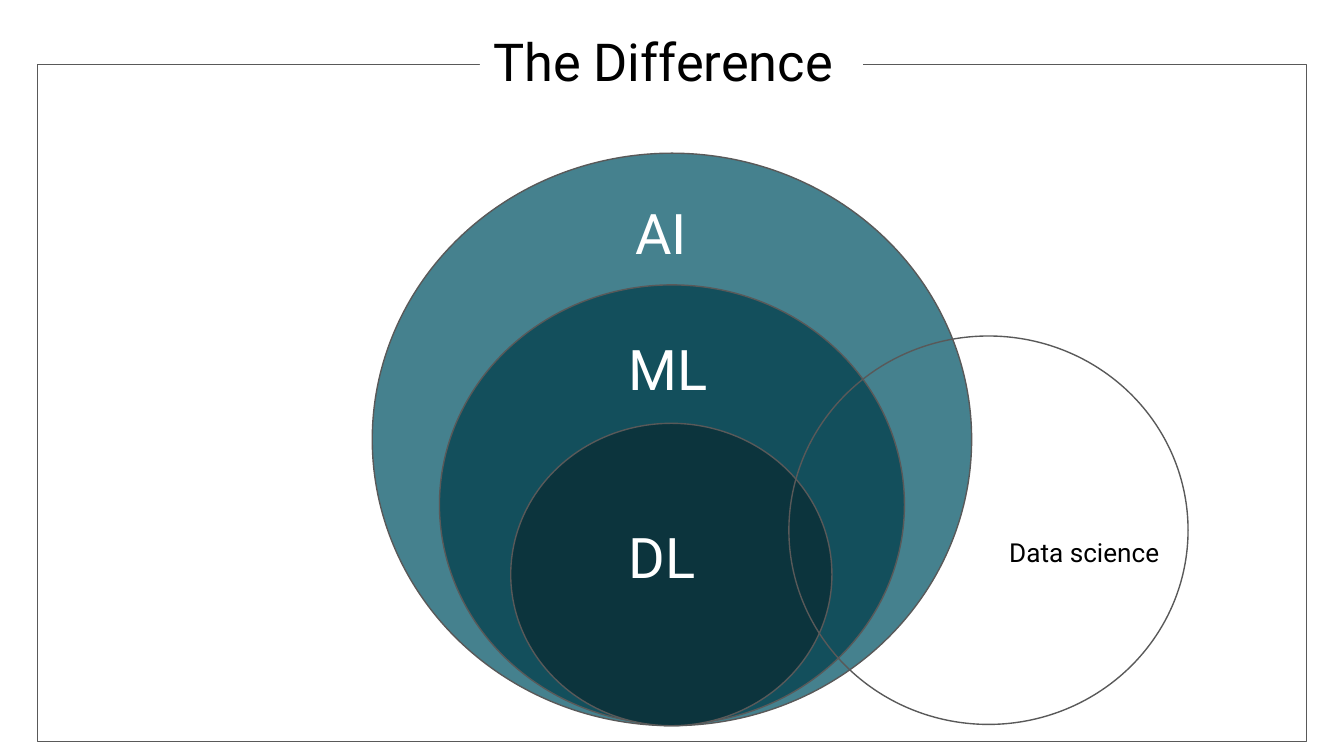
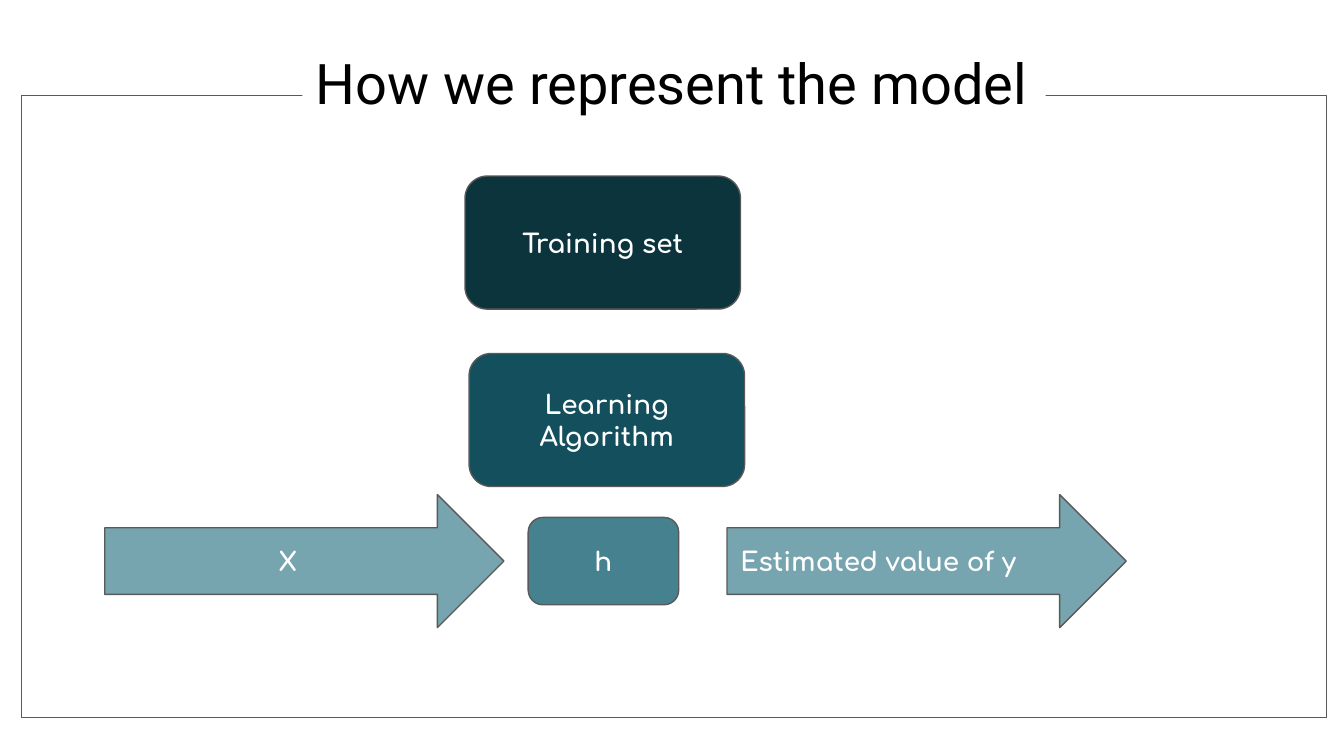
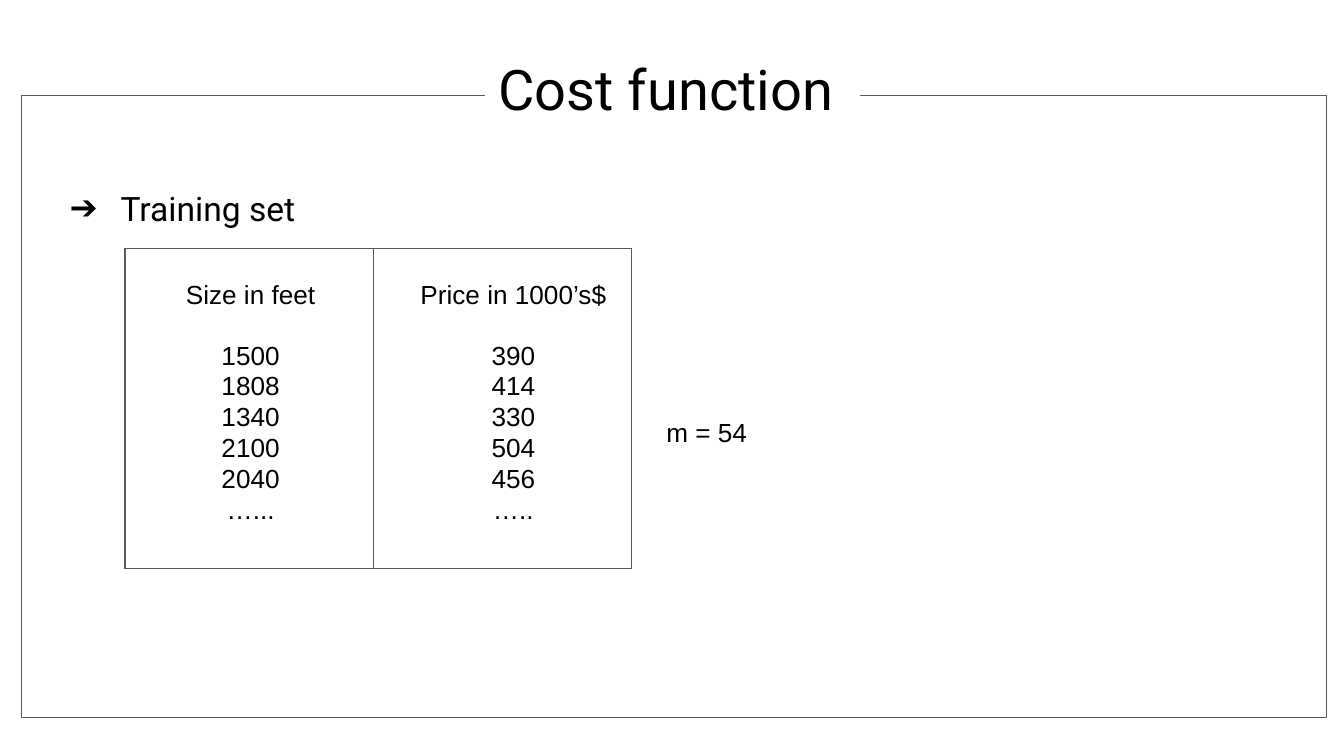
"""Builds three slides on machine learning: its fields, its model and its cost function."""
from dataclasses import dataclass
from typing import NamedTuple, Optional

from lxml import etree
from pptx import Presentation
from pptx import util as u
from pptx.dml.color import RGBColor
from pptx.enum import shapes, text
from pptx.oxml import ns

COLORS = {
    "white": "FFFFFF",
    "black": "000000",
    "outline": "595959",
    "deep": "0C343D",
    "dark": "134F5C",
    "teal": "45818E",
    "pale": "76A5AF",
}
SLIDE_WIDTH = u.Inches(10)
SLIDE_HEIGHT = SLIDE_WIDTH * 9 // 16
OUTLINE_WIDTH = u.Pt(0.75)
INSET = u.Inches(0.1)
TITLE_ONLY = 5

OVAL = shapes.MSO_SHAPE.OVAL
RECTANGLE = shapes.MSO_SHAPE.RECTANGLE
ROUNDED = shapes.MSO_SHAPE.ROUNDED_RECTANGLE
ARROW = shapes.MSO_SHAPE.RIGHT_ARROW
LEFT, CENTER = text.PP_ALIGN.LEFT, text.PP_ALIGN.CENTER
TOP, MIDDLE = text.MSO_ANCHOR.TOP, text.MSO_ANCHOR.MIDDLE


class Box(NamedTuple):
    left: float
    top: float
    width: float
    height: float

    def lengths(self) -> list:
        return [u.Inches(side) for side in self]


class Style(NamedTuple):
    font: str
    size: float
    color: str = "black"
    bold: bool = False
    align: text.PP_ALIGN = LEFT
    spacing: float = 1.0


@dataclass
class Block:
    box: Box
    geometry: shapes.MSO_SHAPE
    fill: Optional[str] = None
    wording: str = ""
    align: text.PP_ALIGN = CENTER


@dataclass
class Label:
    box: Box
    wording: str
    style: Style


FRAME = Box(0.16, 0.71, 9.71, 4.63)
TITLE = Style("Roboto", 30)
FIELD = Style("Roboto", 30, "white")
STEP = Style("Comfortaa", 14, "white", bold=True)
DATA = Style("Arial", 14)


def rgb(color: str) -> RGBColor:
    return RGBColor.from_string(COLORS[color])


def write(paragraph, wording: str, style: Style) -> None:
    paragraph.alignment = style.align
    paragraph.line_spacing = style.spacing
    run = paragraph.add_run()
    run.text = wording
    run.font.name = style.font
    run.font.size = u.Pt(style.size)
    run.font.bold = style.bold
    run.font.color.rgb = rgb(style.color)


def prepare(frame, anchor: text.MSO_ANCHOR) -> None:
    frame.word_wrap = True
    frame.auto_size = text.MSO_AUTO_SIZE.NONE
    frame.vertical_anchor = anchor
    frame.margin_left = frame.margin_right = INSET
    frame.margin_top = frame.margin_bottom = INSET


def draw_block(slide, block: Block):
    shape = slide.shapes.add_shape(block.geometry, *block.box.lengths())
    shape.shadow.inherit = False
    if block.fill:
        shape.fill.solid()
        shape.fill.fore_color.rgb = rgb(block.fill)
    else:
        shape.fill.background()
    shape.line.color.rgb = rgb("outline")
    shape.line.width = OUTLINE_WIDTH
    if block.wording:
        prepare(shape.text_frame, MIDDLE)
        write(shape.text_frame.paragraphs[0], block.wording,
              STEP._replace(align=block.align))
    return shape


def draw_label(slide, label: Label):
    shape = slide.shapes.add_textbox(*label.box.lengths())
    prepare(shape.text_frame, TOP)
    paragraph = shape.text_frame.paragraphs[0]
    write(paragraph, label.wording, label.style)
    return paragraph


def add_framed_slide(deck, wording: str, title_box: Box,
                     style: Style = TITLE, frame_box: Box = FRAME):
    slide = deck.slides.add_slide(deck.slide_layouts[TITLE_ONLY])
    title = slide.shapes.title
    title.left, title.top, title.width, title.height = title_box.lengths()
    title.fill.solid()
    title.fill.fore_color.rgb = rgb("white")
    prepare(title.text_frame, TOP)
    write(title.text_frame.paragraphs[0], wording, style)
    border = draw_block(slide, Block(frame_box, RECTANGLE))
    title.element.addprevious(border.element)
    return slide


def add_bullet(paragraph, symbol: str, style: Style) -> None:
    properties = paragraph._p.get_or_add_pPr()
    properties.set("marL", str(u.Inches(0.5)))
    properties.set("indent", str(u.Inches(-0.38)))
    tint = etree.SubElement(properties, ns.qn("a:buClr"))
    etree.SubElement(tint, ns.qn("a:srgbClr"), val=COLORS[style.color])
    etree.SubElement(properties, ns.qn("a:buFont"), typeface=style.font)
    etree.SubElement(properties, ns.qn("a:buChar"), char=symbol)


def set_borders(cell, drawn: str) -> None:
    properties = cell._tc.get_or_add_tcPr()
    for position, side in enumerate("LRTB"):
        border = etree.Element(ns.qn(f"a:ln{side}"), w=str(OUTLINE_WIDTH))
        if side in drawn:
            fill = etree.SubElement(border, ns.qn("a:solidFill"))
            etree.SubElement(fill, ns.qn("a:srgbClr"), val=COLORS["outline"])
        else:
            etree.SubElement(border, ns.qn("a:noFill"))
        properties.insert(position, border)


def draw_table(slide, box: Box, rows: list, widths: list, heights: list,
               indents: list) -> None:
    table = slide.shapes.add_table(len(rows), len(widths), *box.lengths()).table
    table.first_row = table.horz_banding = False
    for column, width in zip(table.columns, widths):
        column.width = u.Inches(width)
    for index, (values, height) in enumerate(zip(rows, heights)):
        table.rows[index].height = u.Inches(height)
        edges = "LR" + "T" * (index == 0) + "B" * (index == len(rows) - 1)
        for column, (value, indent) in enumerate(zip(values, indents)):
            cell = table.cell(index, column)
            cell.fill.solid()
            cell.fill.fore_color.rgb = rgb("white")
            cell.margin_left = u.Inches(indent)
            cell.margin_right = cell.margin_top = cell.margin_bottom = 0
            cell.vertical_anchor = MIDDLE if index == 0 else TOP
            write(cell.text_frame.paragraphs[0], value, DATA._replace(align=CENTER))
            set_borders(cell, edges)


def build_difference(deck) -> None:
    slide = add_framed_slide(deck, "The Difference", Box(3.57, 0.12, 2.85, 0.63),
                             TITLE._replace(size=28), Box(0.28, 0.48, 9.44, 5.04))
    for field in (
        Block(Box(2.77, 1.14, 4.46, 4.26), OVAL, "teal"),
        Block(Box(3.27, 2.12, 3.46, 3.27), OVAL, "dark"),
        Block(Box(3.8, 3.15, 2.39, 2.25), OVAL, "deep"),
        Block(Box(5.87, 2.5, 2.97, 2.89), OVAL),
    ):
        draw_block(slide, field)
    for name in (
        Label(Box(4.63, 1.38, 0.74, 0.63), "AI", FIELD),
        Label(Box(4.58, 2.39, 0.85, 0.63), "ML", FIELD),
        Label(Box(4.58, 3.79, 0.85, 0.63), "DL", FIELD),
        Label(Box(7.41, 3.89, 1.55, 0.42), "Data science", Style("Roboto", 14)),
    ):
        draw_label(slide, name)


def build_model(deck) -> None:
    slide = add_framed_slide(deck, "How we represent the model",
                             Box(2.25, 0.26, 5.53, 0.76))
    for step in (
        Block(Box(3.46, 1.31, 2.05, 0.99), ROUNDED, "deep", "Training set"),
        Block(Box(3.93, 3.85, 1.12, 0.65), ROUNDED, "teal", "h"),
        Block(Box(3.49, 2.63, 2.05, 0.99), ROUNDED, "dark", "Learning Algorithm"),
        Block(Box(5.41, 3.68, 2.97, 0.99), ARROW, "pale", "Estimated value of y", LEFT),
        Block(Box(0.78, 3.68, 2.97, 0.99), ARROW, "pale", "X"),
    ):
        draw_block(slide, step)


def build_cost(deck) -> None:
    slide = add_framed_slide(deck, "Cost function", Box(3.61, 0.23, 2.79, 0.76),
                             TITLE._replace(spacing=1.15))
    topic = Style("Roboto", 18, spacing=1.15)
    heading = draw_label(slide, Label(Box(0.3, 1.25, 8.44, 0.55), "Training set", topic))
    add_bullet(heading, "➔", topic)
    houses = [
        ("Size in feet", "Price in 1000’s$"),
        ("1500", "390"),
        ("1808", "414"),
        ("1340", "330"),
        ("2100", "504"),
        ("2040", "456"),
        ("…...", "….."),
    ]
    draw_table(slide, Box(0.93, 1.85, 3.77, 2.38), houses, widths=[1.85, 1.92],
               heights=[0.69] + [0.23] * 5 + [0.54], indents=[0.02, 0.16])
    draw_label(slide, Label(Box(4.86, 3, 2.96, 0.42), "m = 54", DATA))


def main() -> None:
    deck = Presentation()
    deck.slide_width, deck.slide_height = SLIDE_WIDTH, SLIDE_HEIGHT
    for build in (build_difference, build_model, build_cost):
        build(deck)
    deck.save("out.pptx")


if __name__ == "__main__":
    main()
